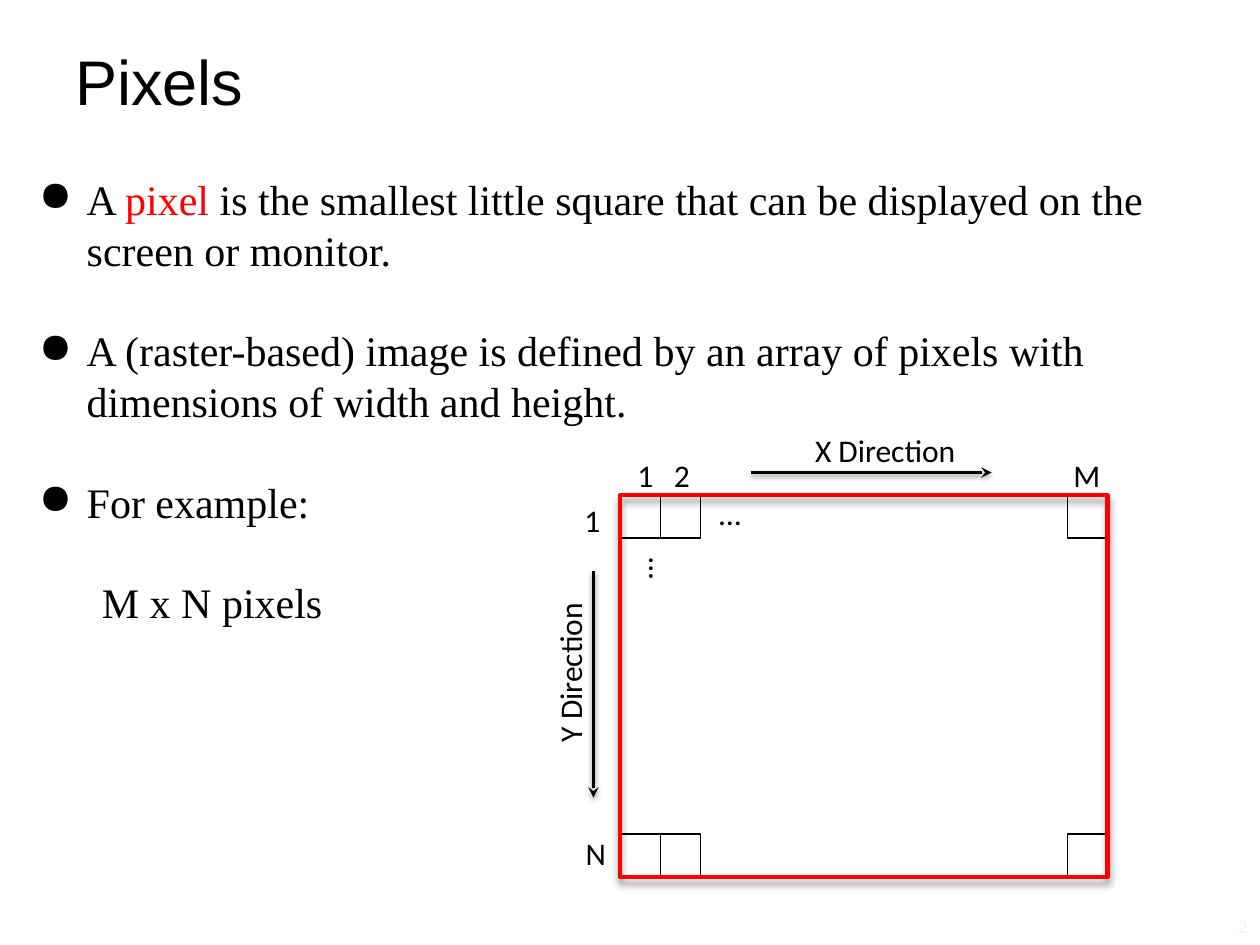
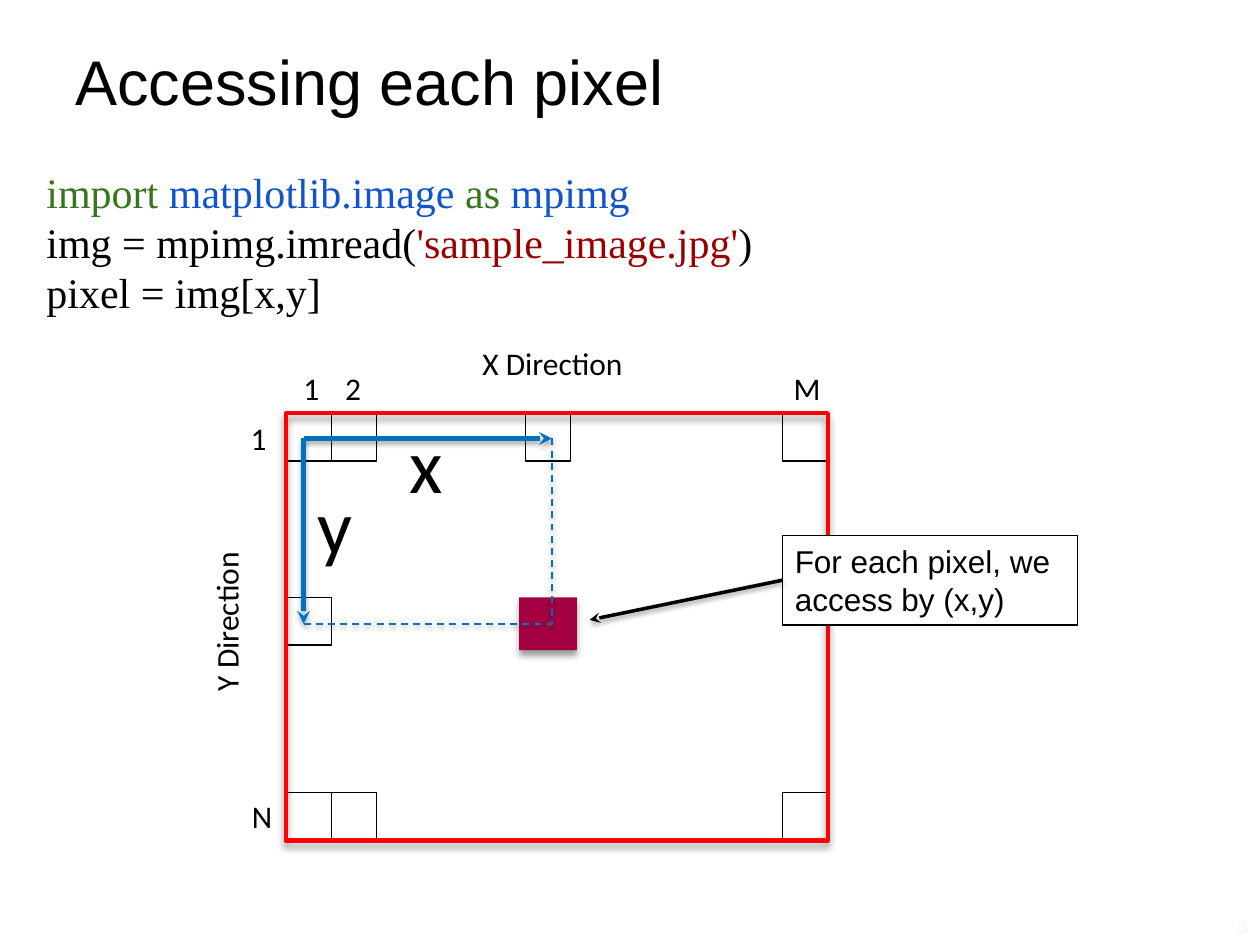
from dataclasses import dataclass

from lxml import etree
from pptx import Presentation
from pptx import util as u
from pptx.dml.color import RGBColor
from pptx.enum import dml, shapes, text
from pptx.oxml.ns import qn

SLIDE_W, SLIDE_H = 10, 7.5
BLACK = RGBColor(0x00, 0x00, 0x00)
WHITE = RGBColor(0xFF, 0xFF, 0xFF)
RED = RGBColor(0xFF, 0x00, 0x00)
BLUE = RGBColor(0x00, 0x70, 0xC0)
CRIMSON = RGBColor(0xA3, 0x00, 0x42)
PALE = RGBColor(0xF3, 0xF3, 0xF3)
KEYWORD = RGBColor(0x38, 0x76, 0x1D)
MODULE = RGBColor(0x11, 0x55, 0xCC)
STRING = RGBColor(0x99, 0x00, 0x00)
SANS, SERIF, LABEL = "Arial", "Times New Roman", "Calibri"
BODY_LINE = u.Pt(28.8)
FRAME_SHADOW = (4, 3, 40)
LINE_SHADOW = (3.1, 1.6, 38)


@dataclass
class Grid:
    """The framed pixel array, in inches."""
    left: float
    top: float
    width: float
    height: float
    cell_w: float
    cell_h: float
    label_h: float

    @property
    def right(self):
        return self.left + self.width

    @property
    def bottom(self):
        return self.top + self.height


def inches(*lengths):
    return [u.Inches(length) for length in lengths]


def add_shadow(shape, blur, distance, opacity):
    """Cast a black shadow straight down; blur and distance in points."""
    sppr = shape._element.spPr
    for old in sppr.findall(qn("a:effectLst")):
        sppr.remove(old)
    effects = etree.SubElement(sppr, qn("a:effectLst"))
    shadow = etree.SubElement(effects, qn("a:outerShdw"), blurRad=str(u.Pt(blur)),
                              dist=str(u.Pt(distance)), dir="5400000", rotWithShape="0")
    color = etree.SubElement(shadow, qn("a:srgbClr"), val=str(BLACK))
    etree.SubElement(color, qn("a:alpha"), val=str(opacity * 1000))


def write_runs(p, runs, size, font):
    """Fill a paragraph from (text, colour) pairs."""
    for words, color in runs:
        r = p.add_run()
        r.text = words
        r.font.size, r.font.name = u.Pt(size), font
        r.font.color.rgb = color


def add_text(s, box, paragraphs, size, font, align=text.PP_ALIGN.LEFT,
             anchor=text.MSO_ANCHOR.TOP):
    sp = s.shapes.add_textbox(*inches(*box))
    tf = sp.text_frame
    tf.word_wrap = True
    tf.vertical_anchor = anchor
    for i, runs in enumerate(paragraphs):
        p = tf.add_paragraph() if i else tf.paragraphs[0]
        p.alignment = align
        write_runs(p, runs, size, font)
    return sp


def add_label(s, words, left, top, width, height, size=18, rotation=0):
    sp = add_text(s, (left, top, width, height), [[(words, BLACK)]], size, LABEL)
    sp.rotation = rotation


def add_body(s, box, paragraphs):
    tf = add_text(s, box, paragraphs, 24, SERIF).text_frame
    for p in tf.paragraphs:
        p.line_spacing = BODY_LINE
    return tf.paragraphs


def set_indent(p, margin, indent, bullet=None):
    ppr = p._p.get_or_add_pPr()
    ppr.set("marL", str(u.Inches(margin)))
    ppr.set("indent", str(u.Inches(indent)))
    if bullet:
        color = etree.SubElement(ppr, qn("a:buClr"))
        etree.SubElement(color, qn("a:srgbClr"), val=str(BLACK))
        etree.SubElement(ppr, qn("a:buChar"), char=bullet)


def add_rect(s, box, fill=None, line=None, width=0.75):
    sp = s.shapes.add_shape(shapes.MSO_SHAPE.RECTANGLE, *inches(*box))
    sp.shadow.inherit = False
    if fill is None:
        sp.fill.background()
    else:
        sp.fill.solid()
        sp.fill.fore_color.rgb = fill
    if line is None:
        sp.line.fill.background()
    else:
        sp.line.color.rgb = line
        sp.line.width = u.Pt(width)
    return sp


def add_line(s, start, end, color, width, dashed=False):
    """Draw a dashed guide, or else a solid line with an arrowhead at its end."""
    cx = s.shapes.add_connector(shapes.MSO_CONNECTOR.STRAIGHT, *inches(*start, *end))
    cx.line.color.rgb = color
    cx.line.width = u.Pt(width)
    if dashed:
        cx.line.dash_style = dml.MSO_LINE.DASH
    else:
        etree.SubElement(cx.line._get_or_add_ln(), qn("a:tailEnd"), type="stealth")
    add_shadow(cx, *LINE_SHADOW)
    return cx


def add_grid(s, g):
    """Draw corner pixels, the red frame and the row and column numbers."""
    for y in (g.top, g.bottom - g.cell_h):
        for x in (g.left, g.left + g.cell_w, g.right - g.cell_w):
            add_rect(s, (x, y, g.cell_w, g.cell_h), line=BLACK)
    frame = add_rect(s, (g.left, g.top, g.width, g.height), line=RED, width=2.5)
    add_shadow(frame, *FRAME_SHADOW)

    column_y, first_x = g.top - g.label_h, g.left + 0.04
    add_label(s, "1", first_x, column_y, 0.33, g.label_h)
    add_label(s, "2", first_x + g.cell_w - 0.03, column_y, 0.33, g.label_h)
    add_label(s, "M", g.right - 0.37, column_y, 0.48, g.label_h)
    add_label(s, "1", g.left - 0.38, g.top, 0.33, g.label_h)
    add_label(s, "N", g.left - 0.37, g.bottom - 0.39, 0.4, g.label_h)


def add_axis_titles(s, g, x_left, y_left, y_top, length):
    add_label(s, "X Direction", x_left, g.top - g.label_h - 0.2, length, g.label_h)
    add_label(s, "Y Direction", y_left, y_top, length, g.label_h, rotation=270)


def new_slide(prs, title, number):
    s = prs.slides.add_slide(prs.slide_layouts[6])
    add_text(s, (0.05 * SLIDE_W, 0.29, 0.9 * SLIDE_W, 0.7), [[(title, BLACK)]],
             36, SANS, anchor=text.MSO_ANCHOR.MIDDLE)
    add_text(s, (0.9 * SLIDE_W, 7.21, 0.1 * SLIDE_W, 0.29), [[(number, PALE)]],
             10, SANS, align=text.PP_ALIGN.RIGHT, anchor=text.MSO_ANCHOR.MIDDLE)
    return s


def build_pixels(prs):
    s = new_slide(prs, "Pixels", "2")
    paragraphs = add_body(s, (0.21, 1.33, 9.58, 3.9), [
        [("A ", BLACK), ("pixel", RED),
         (" is the smallest little square that can be displayed on the screen or monitor.",
          BLACK)],
        [("A (raster-based) image is defined by an array of pixels with dimensions of "
          "width and height.", BLACK)],
        [("For example:", BLACK)],
        [("M x N pixels", BLACK)],
    ])
    for p in paragraphs[1:]:
        p.space_before = BODY_LINE
    for p in paragraphs[:3]:
        set_indent(p, 0.38, -0.38, "●")
    set_indent(paragraphs[3], 0, 0.5)

    g = Grid(4.92, 3.93, 3.87, 3.03, 0.32, 0.34, 0.36)
    add_grid(s, g)
    add_axis_titles(s, g, 6.37, 3.81, 5.12, 1.38)
    add_line(s, (5.96, 3.75), (7.87, 3.75), BLACK, 2)
    add_line(s, (4.71, 4.53), (4.71, 6.33), BLACK, 2)
    add_label(s, "…", 5.61, 3.87, 0.34, g.label_h)
    add_label(s, "…", 4.89, 4.35, 0.34, g.label_h, rotation=270)


def build_access(prs):
    s = new_slide(prs, "Accessing each pixel", "3")
    add_body(s, (0.27, 1.27, 9.45, 1.3), [
        [("import ", KEYWORD), ("matplotlib.image ", MODULE),
         ("as ", KEYWORD), ("mpimg", MODULE)],
        [("img = mpimg.imread(", BLACK), ("'sample_image.jpg'", STRING), (")", BLACK)],
        [("pixel = img[x,y]", BLACK)],
    ])

    g = Grid(2.27, 3.28, 4.3, 3.39, 0.36, 0.38, 0.4)
    pixel_x, pixel_y = 4.17, 4.74
    add_rect(s, (pixel_x, g.top, g.cell_w, g.cell_h), line=BLACK)
    add_rect(s, (g.left, pixel_y, g.cell_w, g.cell_h), line=BLACK)
    add_grid(s, g)
    add_axis_titles(s, g, 3.73, 1.13, 4.72, 1.33)

    origin_x, origin_y, target_x, target_y = 2.41, 3.48, 4.38, 4.95
    add_line(s, (origin_x, origin_y), (target_x, origin_y), BLUE, 2.5)
    add_line(s, (origin_x, origin_y), (origin_x, target_y), BLUE, 2.5)
    target = add_rect(s, (4.12, pixel_y, 0.46, 0.42), fill=CRIMSON)
    add_shadow(target, *FRAME_SHADOW)

    callout = add_rect(s, (6.21, 4.25, 2.34, 0.71), fill=WHITE, line=BLACK)
    tf = callout.text_frame
    tf.word_wrap = True
    tf.vertical_anchor = text.MSO_ANCHOR.TOP
    tf.paragraphs[0].alignment = text.PP_ALIGN.LEFT
    write_runs(tf.paragraphs[0], [("For each pixel, we access by (x,y)", BLACK)], 18, SANS)
    pointer = add_line(s, (6.21, 4.61), (4.68, 4.92), BLACK, 2)
    pointer.begin_connect(callout, 1)

    add_line(s, (origin_x, target_y), (target_x, target_y), BLUE, 1, dashed=True)
    add_line(s, (target_x, origin_y), (target_x, target_y), BLUE, 1, dashed=True)
    add_label(s, "x", 3.15, 3.26, 0.48, 0.84, size=44)
    add_label(s, "y", 2.42, 3.74, 0.48, 0.84, size=44)


def main():
    prs = Presentation()
    prs.slide_width, prs.slide_height = inches(SLIDE_W, SLIDE_H)
    build_pixels(prs)
    build_access(prs)
    prs.save("out.pptx")


if __name__ == "__main__":
    main()
